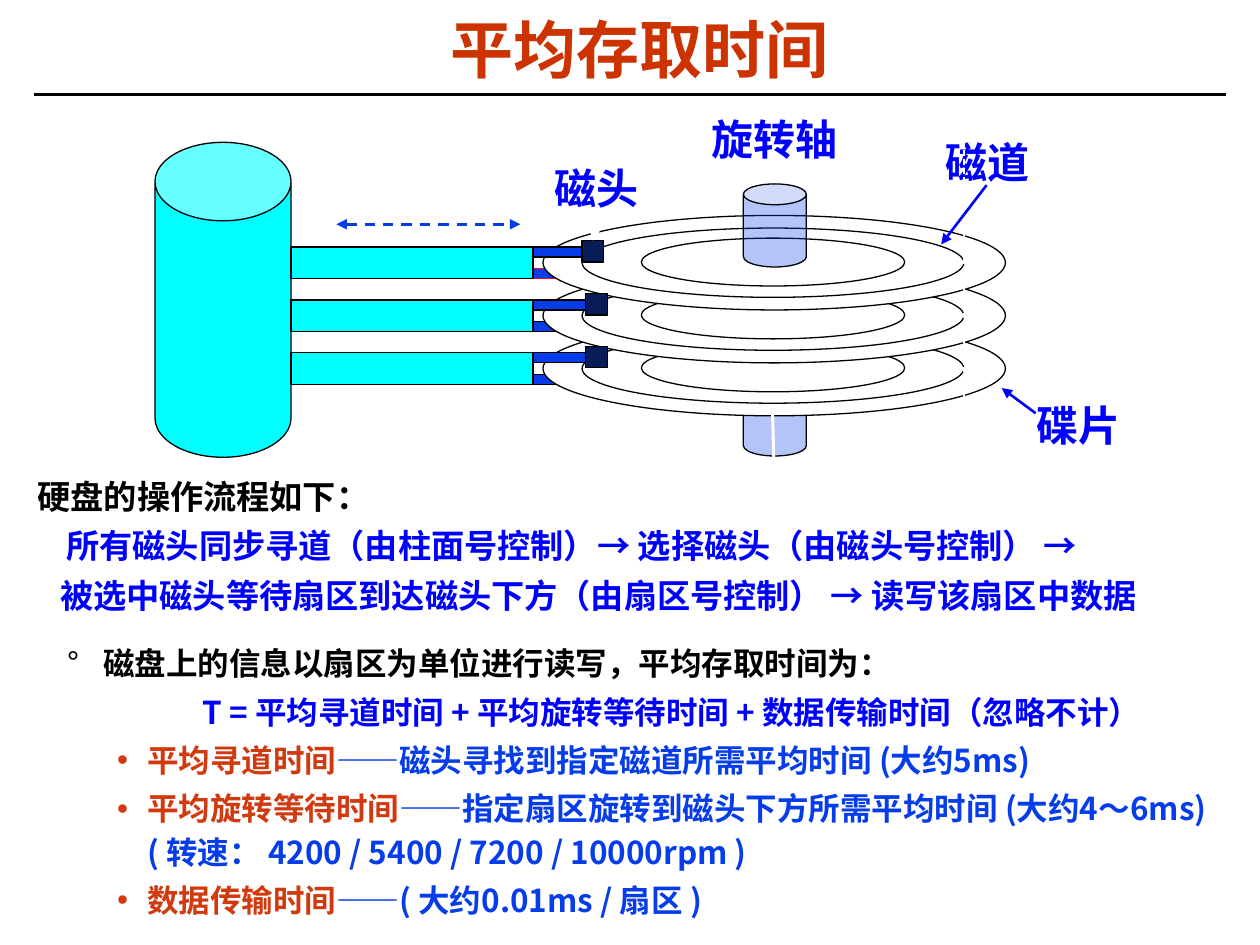
import pptx
import pptx.util
import pptx.dml.color
import pptx.enum.dml
import pptx.enum.shapes
import pptx.enum.text
import pptx.oxml.ns
from lxml import etree

RGB = pptx.dml.color.RGBColor
SHAPE = pptx.enum.shapes.MSO_SHAPE
ALIGN = pptx.enum.text.PP_ALIGN
ANCHOR = pptx.enum.text.MSO_ANCHOR
Pt = pptx.util.Pt
qn = pptx.oxml.ns.qn

BLACK, WHITE = RGB(0, 0, 0), RGB(255, 255, 255)
TITLE_RED, TERM_RED, EDGE_RED = RGB(0xCC, 0x33, 0), RGB(0xD1, 0x39, 0x0F), RGB(0xFC, 0x01, 0x28)
BLUE, ROYAL, NAVY = RGB(0, 0, 255), RGB(0x06, 0x3D, 0xE8), RGB(0x08, 0x1D, 0x58)
CYAN = RGB(0, 255, 255)
CJK = "Noto Sans CJK SC"

# The slide is a grid of 100 columns by 75 rows
COLS, ROWS = 100, 75
STEP = 4.2  # rows from one platter to the next


def cells(n):
    return pptx.util.Inches(n / 10)


def place(box, c, r, w, h):
    return [cells(n) for n in (box[0] + c, box[1] + r, w, h)]


def add_run(p, text, size, color, font=CJK):
    r = p.add_run()
    r.text = text
    for name, value in {"size": Pt(size), "bold": True, "name": font}.items():
        setattr(r.font, name, value)
    r.font.color.rgb = color
    etree.SubElement(r.font._element, qn("a:ea"), typeface=CJK)


def set_frame(tf, margins, anchor=ANCHOR.TOP):
    left, top = (pptx.util.Inches(m) for m in margins)
    values = {"margin_left": left, "margin_right": left, "margin_top": top,
              "margin_bottom": top, "word_wrap": True, "vertical_anchor": anchor,
              "auto_size": pptx.enum.text.MSO_AUTO_SIZE.NONE}
    for name, value in values.items():
        setattr(tf, name, value)


def add_shape(s, kind, at, fill, line=BLACK, alpha=None, adj=None):
    sp = s.shapes.add_shape(kind, *at)
    sp.shadow.inherit = False
    sp.fill.solid()
    sp.fill.fore_color.rgb = fill
    sp.line.color.rgb = line
    sp.line.width = Pt(0.75)
    if adj:
        sp.adjustments[0] = adj
    if alpha:
        clr = sp._element.spPr.find(qn("a:solidFill"))[0]
        etree.SubElement(clr, qn("a:alpha"), val=str(alpha * 1000))
    return sp


def add_line(s, box, start, end, color, width, dash=False, ends=()):
    points = [cells(box[i] + pt[i]) for pt in (start, end) for i in (0, 1)]
    cx = s.shapes.add_connector(pptx.enum.shapes.MSO_CONNECTOR.STRAIGHT, *points)
    cx.line.color.rgb = color
    cx.line.width = Pt(width)
    if dash:
        cx.line.dash_style = pptx.enum.dml.MSO_LINE.DASH
    for end_name in ends:
        etree.SubElement(cx.line._get_or_add_ln(), qn("a:" + end_name), type="triangle")
    etree.SubElement(cx._element.spPr, qn("a:effectLst"))
    return cx


def add_label(s, at, text):
    sp = s.shapes.add_textbox(*at)
    set_frame(sp.text_frame, (0.1, 0.05), ANCHOR.MIDDLE)
    p = sp.text_frame.paragraphs[0]
    p.alignment = ALIGN.CENTER
    add_run(p, text, 24, BLUE, "Arial")
    return sp


def add_paragraphs(s, box, margins, size, pitch, gap, rows):
    """Each row is (left margin, hanging indent, bullet, [(text, color), ...])."""
    tf = s.shapes.add_textbox(*place(box, 0, 0, *box[2:])).text_frame
    set_frame(tf, margins)
    for i, (left, hang, bullet, runs) in enumerate(rows):
        p = tf.paragraphs[0] if i == 0 else tf.add_paragraph()
        p.line_spacing = Pt(pitch)
        p.space_before = Pt(gap if i else 0)
        pPr = p._p.get_or_add_pPr()
        pPr.set("marL", str(pptx.util.Inches(left)))
        pPr.set("indent", str(-pptx.util.Inches(hang)))
        if bullet:
            etree.SubElement(pPr, qn("a:buFont"), typeface="Arial")
            etree.SubElement(pPr, qn("a:buChar"), char=bullet)
        for text, color in runs:
            add_run(p, text, size, color)


def add_title(s, box):
    title = s.shapes.title
    title.left, title.top, title.width, title.height = place(box, 0, 0, *box[2:])
    set_frame(title.text_frame, (0.07, 0.03), ANCHOR.MIDDLE)
    p = title.text_frame.paragraphs[0]
    p.alignment = ALIGN.CENTER
    p.line_spacing = 0.87
    add_run(p, "平均存取时间", 36, TITLE_RED, "Arial")
    add_line(s, (0, 0), (2.7, 7.5), (97.3, 7.5), BLACK, 1.5)


def add_platter(s, box, row):
    for c, r, w, h in ((30.8, 0, 36.7, 7.5), (33.9, 1, 30.3, 5.5), (38.6, 1.8, 20.9, 3.8)):
        add_shape(s, SHAPE.OVAL, place(box, c, row + r, w, h), WHITE)


def add_spindle(s, box, row):
    add_shape(s, SHAPE.CAN, place(box, 46.7, row, 5, 6.6), ROYAL, alpha=30, adj=0.331)


def add_disk_drive(s, box):
    # Lower spindle, lower arm tips and stacked platters
    add_spindle(s, box, 21.1)
    for i in (2, 1, 0):
        add_shape(s, SHAPE.RECTANGLE, place(box, 30, 12.8 + STEP * i, 4.2, 0.8),
                  ROYAL, BLACK if i else EDGE_RED)
    for i in (2, 1, 0):
        add_platter(s, box, 8.6 + STEP * i)

    # Actuator column, arms and heads
    add_shape(s, SHAPE.CAN, place(box, 0, 2.8, 10.8, 25), CYAN, adj=0.577)
    heads = []
    for i in range(3):
        row = 11.1 + STEP * i
        add_shape(s, SHAPE.RECTANGLE, place(box, 10.8, row, 19.2, 2.5), CYAN)
        add_shape(s, SHAPE.RECTANGLE, place(box, 30, row, 4.2, 0.8), ROYAL)
        heads.append(add_shape(s, SHAPE.RECTANGLE,
                               place(box, 34.2 if i else 33.9, row - 0.5, 1.7, 1.7), NAVY))
    add_spindle(s, box, 6.1)

    # Labels
    labels = {text: add_label(s, place(box, c, r, w, 5), text) for text, c, r, w in (
        ("磁头", 26.7, 3.9, 16.7), ("磁道", 58.9, 1.8, 14.4),
        ("旋转轴", 40.8, 0, 16.7), ("碟片", 66.4, 22.7, 13.8))}

    # Pointers
    add_line(s, box, (64.2, 2), (64.2, 32), WHITE, 0.75, dash=True)
    pointer = add_line(s, box, (35, 8.9), (34.7, 10.6), WHITE, 1.75, ends=["tailEnd"])
    pointer.begin_connect(labels["磁头"], 2)
    pointer.end_connect(heads[0], 0)
    for start, end, color, width in (
            ((49.2, 31.5), (49, 23.6), WHITE, 1.75),
            ((69.9, 24.3), (67.2, 22.3), BLUE, 1.5),
            ((66, 6.2), (62.4, 10.9), BLUE, 1.5)):
        add_line(s, box, start, end, color, width, ends=["tailEnd"])
    add_line(s, box, (14.4, 9.3), (29, 9.3), ROYAL, 1.5, True, ["headEnd", "tailEnd"])


def add_process(s, box):
    add_paragraphs(s, box, (0.1, 0.05), 19, 25, 3.2, [
        (0, 0, None, [("硬盘的操作流程如下：", BLACK)]),
        (0.23, 0, None, [("所有磁头同步寻道（由柱面号控制）→ 选择磁头（由磁头号控制） →", BLUE)]),
        (0.18, 0, None, [("被选中磁头等待扇区到达磁头下方（由扇区号控制） → 读写该扇区中数据", BLUE)]),
    ])


def add_access_time(s, box):
    terms = [
        ("平均寻道时间", "——磁头寻找到指定磁道所需平均时间 (大约5ms)"),
        ("平均旋转等待时间", "——指定扇区旋转到磁头下方所需平均时间 (大约4～6ms) "
                     "( 转速： 4200 / 5400 / 7200 / 10000rpm )"),
        ("数据传输时间", "——( 大约0.01ms / 扇区 )"),
    ]
    add_paragraphs(s, box, (0.07, 0.03), 18, 24.6, 3.1, [
        (0.29, 0.29, "°", [("磁盘上的信息以扇区为单位进行读写，平均存取时间为：", BLACK)]),
        (1.08, 0, None, [("T = 平均寻道时间 + 平均旋转等待时间 + 数据传输时间（忽略不计）", BLUE)]),
    ] + [(0.64, 0.24, "•", [(term, TERM_RED), (text, ROYAL)]) for term, text in terms])


def main():
    prs = pptx.Presentation()
    prs.slide_width, prs.slide_height = cells(COLS), cells(ROWS)
    s = prs.slides.add_slide(prs.slide_layouts[5])
    add_title(s, (2.6, 1.4, 96.3, 5.8))
    add_access_time(s, (4.6, 50.4, 92.9, 23.1))
    add_disk_drive(s, (12.3, 8.5))
    add_process(s, (2, 37, 94.3, 12.4))
    prs.save("out.pptx")


if __name__ == "__main__":
    main()
